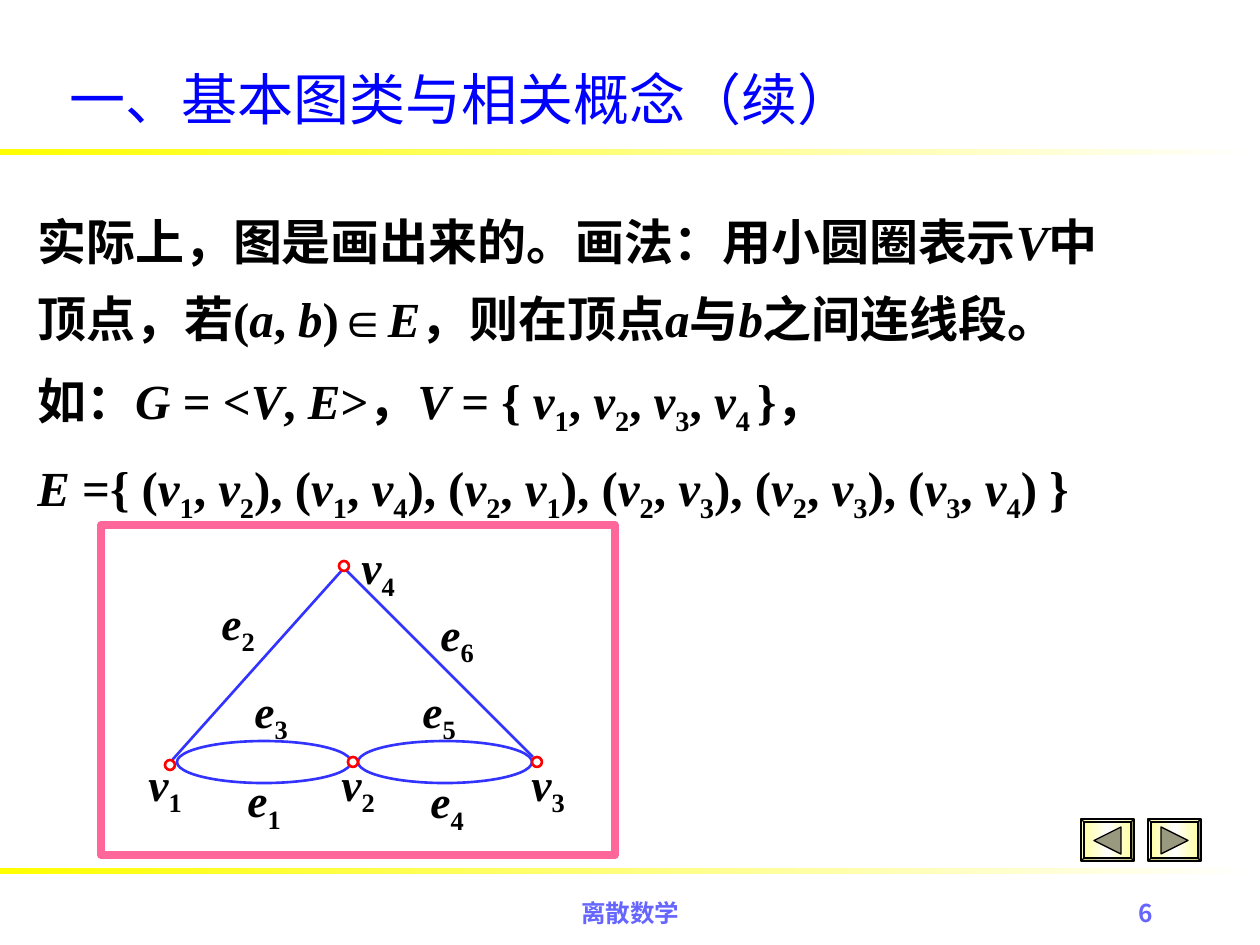
import copy

import pptx
import pptx.util
import pptx.dml.color
import pptx.enum.shapes
import pptx.enum.text
import pptx.oxml.ns

# Content: "|" parts runs, "*" starts an italic run, "_" a subscript run
TITLE = "一、基本图类与相关概念（续）"
BODY = [
    (25, 188, 1235, 166, [
        "实际上，图是画出来的。画法：用小圆圈表示|*V|中",
        "顶点，若|(|*a|, |*b|)|∈|*E|，则在顶点|*a|与|*b|之间连线段。",
    ]),
    (25, 344, 1235, 186, [
        "如：|*G |= <|*V|, |*E|>|，|*V |= { |*v|_1|, |*v|_2|, |*v|_3|, |*v|_4 |}|，",
        "*E |={ (|*v|_1|, |*v|_2|), (|*v|_1|, |*v|_4|), (|*v|_2|, |*v|_1|), (|*v|_2|, "
        "|*v|_3|), (|*v|_2|, |*v|_3|), (|*v|_3|, |*v|_4|) }",
    ]),
]
FOOTER, PAGE = "离散数学", "6"
RULES = [868, 149]
EDGES = [(344, 568, 166, 767), (533, 757, 344, 568)]
LOOPS = [177, 358]
VERTICES = [(532, 757), (339, 561), (165, 760), (348, 757)]
LABELS = [
    ("v", 4, 349, 533), ("v", 3, 519, 750), ("v", 2, 329, 750), ("v", 1, 136, 750),
    ("e", 1, 235, 766), ("e", 2, 209, 589), ("e", 3, 242, 677),
    ("e", 4, 418, 767), ("e", 5, 410, 677), ("e", 6, 428, 600),
]
BUTTONS = [(1148, 90), (1081, 270)]

COLORS = {
    "yellow": "FFFF00", "white": "FFFFFF", "title": "0000FF", "text": "000000",
    "frame": "FF6699", "edge": "3333FF", "vertex": "FF0000", "footer": "6666FF",
    "button": "FFFF99", "arrow": "999980",
}
LATIN, CJK, SYMBOL = "Times New Roman", "Noto Sans CJK SC", "Arial"
SHAPE = pptx.enum.shapes.MSO_SHAPE
ALIGN = pptx.enum.text.PP_ALIGN
ANCHOR = pptx.enum.text.MSO_ANCHOR


def px(n):
    return round(n * 914400 / 126)


def rgb(name):
    return pptx.dml.color.RGBColor.from_string(COLORS[name])


def font_for(text):
    if "∈" in text:
        return SYMBOL
    return CJK if ord(text[0]) > 0x3000 else LATIN


def add_text(slide, box, lines, size, color="text", bold=True, font=None,
             spacing=None, align=ALIGN.LEFT, anchor=ANCHOR.TOP):
    tf = slide.shapes.add_textbox(*map(px, box)).text_frame
    tf.word_wrap = True
    tf.vertical_anchor = anchor
    for i, line in enumerate(lines):
        p = tf.paragraphs[0] if i == 0 else tf.add_paragraph()
        p.alignment = align
        if spacing:
            p.line_spacing = spacing
        for part in line.split("|"):
            r = p.add_run()
            r.text = part.lstrip("*_")
            r.font.size = pptx.util.Pt(size)
            r.font.bold = bold
            r.font.italic = part.startswith("*")
            r.font.color.rgb = rgb(color)
            r.font.name = font or font_for(r.text)
            rPr = r.font._element
            ea = rPr.makeelement(pptx.oxml.ns.qn("a:ea"), {"typeface": CJK})
            rPr.find(pptx.oxml.ns.qn("a:latin")).addnext(ea)
            if part.startswith("_"):
                rPr.set("baseline", "-25000")


def add_shape(slide, kind, box, fill=None, line=None, width=1.5):
    sp = slide.shapes.add_shape(kind, *map(px, box))
    sp.shadow.inherit = False
    if fill:
        sp.fill.solid()
        sp.fill.fore_color.rgb = rgb(fill)
    else:
        sp.fill.background()
    if line:
        sp.line.color.rgb = rgb(line)
        sp.line.width = pptx.util.Pt(width)
    else:
        sp.line.fill.background()
    return sp


def set_gradient(sp, names):
    sp.fill.gradient()
    sp.fill.gradient_angle = 180
    stops = sp._element.spPr.find(".//" + pptx.oxml.ns.qn("a:gsLst"))
    while len(stops) < len(names):
        stops.append(copy.deepcopy(stops[-1]))
    for i, name in enumerate(names):
        stops[i].set("pos", str(100000 * i // (len(names) - 1)))
        sp.fill.gradient_stops[i].color.rgb = rgb(name)


def add_edge(slide, ends):
    line = slide.shapes.add_connector(
        pptx.enum.shapes.MSO_CONNECTOR.STRAIGHT, *map(px, ends))
    line.line.color.rgb = rgb("edge")
    line.line.width = pptx.util.Pt(1.5)
    spPr = line._element.spPr
    spPr.append(spPr.makeelement(pptx.oxml.ns.qn("a:effectLst"), {}))


def main():
    prs = pptx.Presentation()
    prs.slide_width, prs.slide_height = px(1260), px(945)
    s = prs.slides.add_slide(prs.slide_layouts[6])

    # Fading rules, title and body
    for y in RULES:
        set_gradient(add_shape(s, SHAPE.RECTANGLE, (0, y, 1260, 6)), ["white", "yellow"])
    add_text(s, (57, 58, 1071, 81), [TITLE], 32, "title", bold=False,
             font=LATIN, anchor=ANCHOR.MIDDLE)
    for *box, lines in BODY:
        add_text(s, box, lines, 28, spacing=1.3)

    # Navigation buttons
    for x, turn in BUTTONS:
        sp = add_shape(s, SHAPE.BEVEL, (x, 819, 53, 42), "button", "text", 0.75)
        sp.adjustments[0] = 0.07
        set_gradient(sp, ["button", "white", "button"])
        arrow = add_shape(s, SHAPE.ISOSCELES_TRIANGLE, (x + 13, 827, 27, 27),
                          "arrow", "text", 0.75)
        arrow.rotation = turn

    # Graph drawing
    add_shape(s, SHAPE.RECTANGLE, (101, 525, 514, 330), "white", "frame", 4.5)
    for ends in EDGES:
        add_edge(s, ends)
    for x in LOOPS:
        add_shape(s, SHAPE.OVAL, (x, 741, 174, 42), line="edge")
    for x, y in VERTICES:
        add_shape(s, SHAPE.OVAL, (x, y, 10, 10), "white", "vertex")
    for name, index, x, y in LABELS:
        add_text(s, (x, y, 69, 76), [f"*{name}|_{index}"], 26)

    # Footer
    add_text(s, (431, 892, 399, 63), [FOOTER], 14, "footer", font=LATIN, align=ALIGN.CENTER)
    add_text(s, (903, 892, 262, 63), [PAGE], 14, "footer", font=CJK, align=ALIGN.RIGHT)

    prs.save("out.pptx")


if __name__ == "__main__":
    main()
